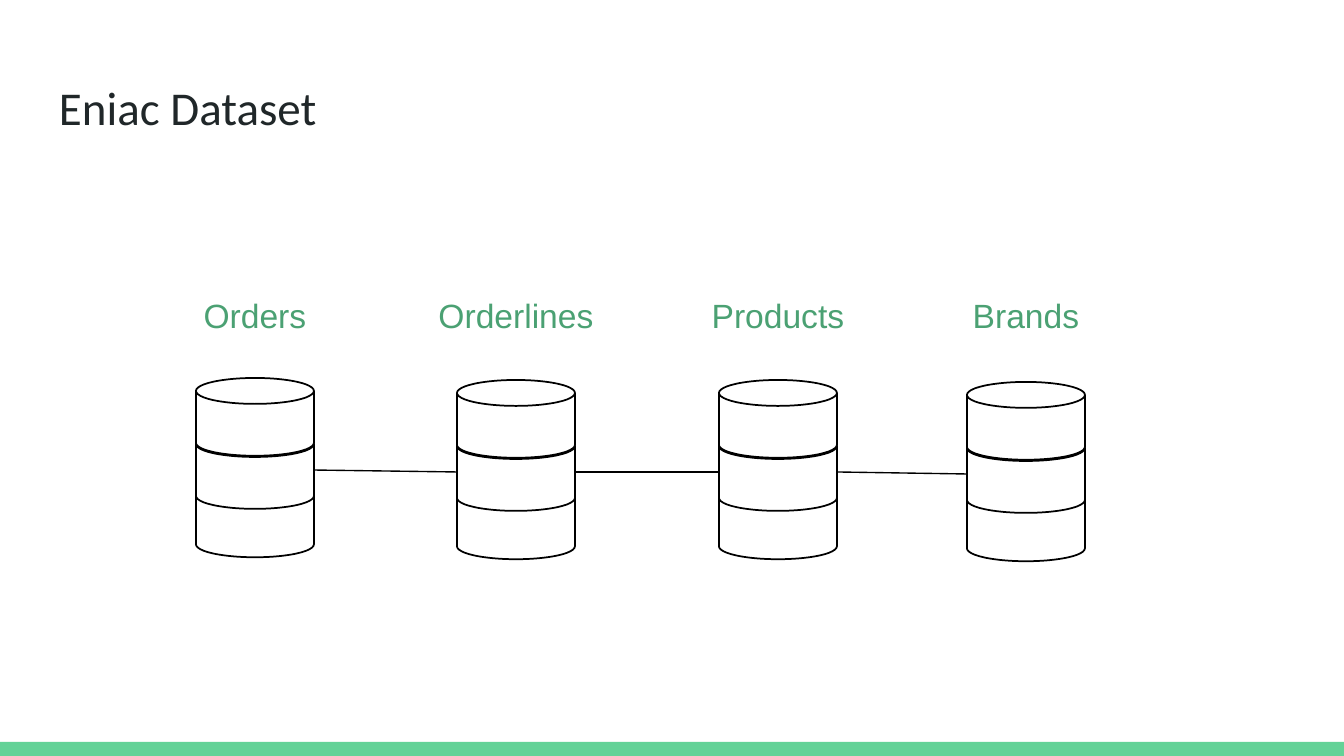
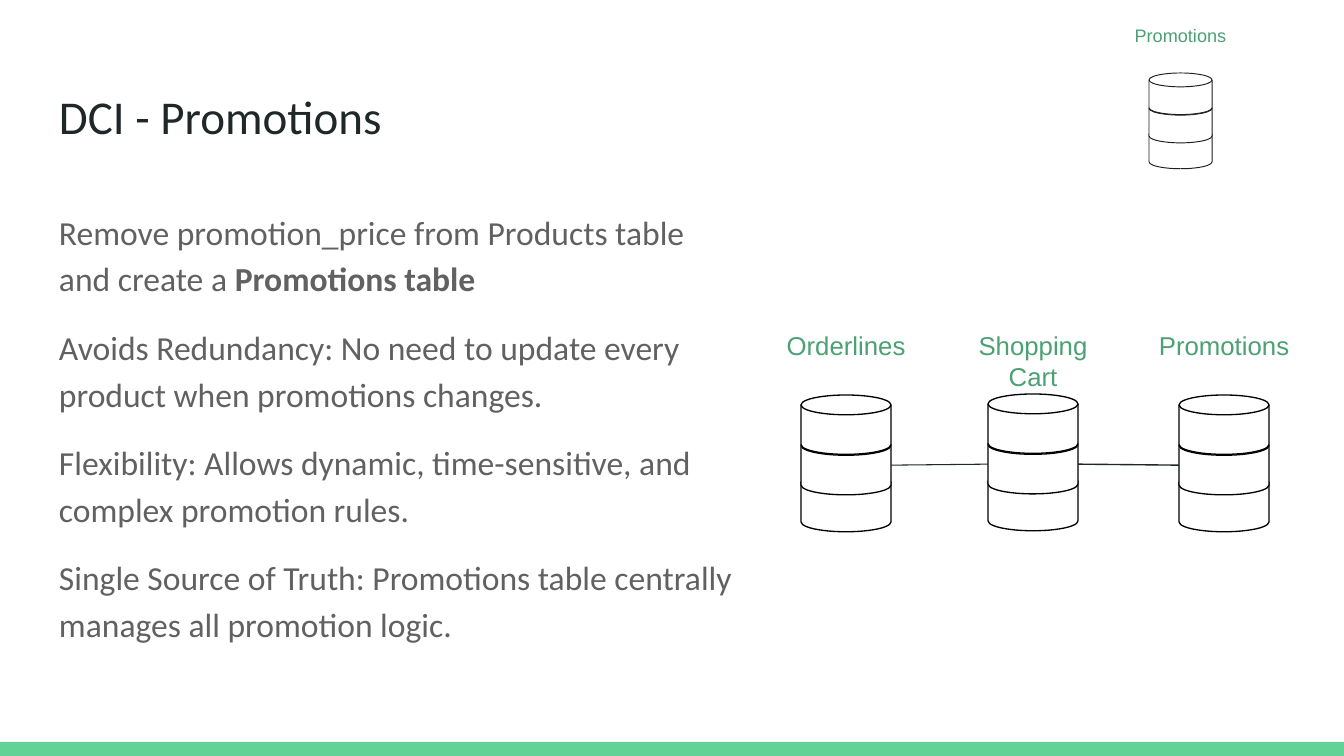
from dataclasses import dataclass
from itertools import pairwise

from lxml.etree import SubElement
from pptx import Presentation
from pptx.dml.color import RGBColor
from pptx.enum.shapes import MSO_CONNECTOR, MSO_SHAPE
from pptx.enum.text import MSO_ANCHOR, PP_ALIGN
from pptx.oxml.ns import qn
from pptx.util import Emu, Pt


@dataclass(frozen=True)
class Theme:
    paper: str = "FFFFFF"
    band: str = "63D297"
    ink: str = "202729"
    body: str = "616161"
    label: str = "4BA173"
    edge: str = "000000"
    faint: str = "1F1F1F"
    head_font: str = "Calibri"
    label_font: str = "Arial"
    head_size: float = 25.2
    body_size: float = 18
    big: float = 18
    mid: float = 13.8
    small: float = 9.7


@dataclass(frozen=True)
class Size:
    """Measures of one database symbol and its label."""
    disk: int
    line: float
    edge: str
    text: float
    top: int
    wide: int
    high: int
    inset: int


THEME = Theme()
BIG = Size(118, 0.93, THEME.edge, THEME.big, 282, 196, 67, 13)
MID = Size(90, 0.71, THEME.edge, THEME.mid, 319, 157, 52, 11)
SMALL = Size(63, 0.5, THEME.faint, THEME.small, 17, 117, 36, 7)

# Disk height and the drop of each disk, as parts of the disk width
RATIO = 0.66
DROPS = (0.86, 0.45, 0)


def px(count):
    return Emu(round(count * 914400 / 134.4))


def box(*sides):
    return [px(side) for side in sides]


def tint(code):
    return RGBColor.from_string(code)


# Text
def style(para, font, size, color):
    para.font.name = font
    para.font.size = Pt(size)
    para.font.color.rgb = tint(color)


def add_text(slide, place, inset=13):
    frame = slide.shapes.add_textbox(*box(*place)).text_frame
    frame.word_wrap = True
    frame.margin_left = frame.margin_right = px(inset)
    frame.margin_top = frame.margin_bottom = px(inset)
    return frame


def add_body(slide, place, paras):
    frame = add_text(slide, place)
    frame.vertical_anchor = MSO_ANCHOR.MIDDLE
    for at, parts in enumerate(paras):
        para = frame.add_paragraph() if at else frame.paragraphs[0]
        para.line_spacing = 1.15
        if at:
            para.space_before = Pt(12)
        style(para, THEME.head_font, THEME.body_size, THEME.body)
        for text, bold in parts:
            run = para.add_run()
            run.text = text
            if bold:
                run.font.bold = True
    para.space_after = Pt(12)


# Shapes
def add_form(slide, kind, place, fill, edge=None, width=0):
    form = slide.shapes.add_shape(kind, *box(*place))
    form.shadow.inherit = False
    form.fill.solid()
    form.fill.fore_color.rgb = tint(fill)
    if edge:
        form.line.color.rgb = tint(edge)
        form.line.width = Pt(width)
    else:
        form.line.fill.background()


def add_store(slide, name, left, top, size):
    """A database of three stacked disks with its label centred above."""
    for drop in DROPS:
        place = (left, top + drop * size.disk, size.disk, RATIO * size.disk)
        add_form(slide, MSO_SHAPE.FLOWCHART_MAGNETIC_DISK, place,
                 THEME.paper, size.edge, size.line)
    start = left + (size.disk - size.wide) / 2
    frame = add_text(slide, (start, size.top, size.wide, size.high), size.inset)
    para = frame.paragraphs[0]
    para.text = name
    para.alignment = PP_ALIGN.CENTER
    style(para, THEME.label_font, size.text, THEME.label)


def add_link(slide, start, end, color, width):
    line = slide.shapes.add_connector(MSO_CONNECTOR.STRAIGHT, *box(*start, *end))
    line.line.color.rgb = tint(color)
    line.line.width = Pt(width)
    SubElement(line._element.spPr, qn("a:effectLst"))


def add_chain(slide, stores, size, color, widths):
    """A row of databases, each linked to the next at mid-height."""
    for name, left, top in stores:
        add_store(slide, name, left, top, size)
    drop = (DROPS[1] + RATIO / 2) * size.disk
    for (one, two), width in zip(pairwise(stores), widths):
        add_link(slide, (one[1] + size.disk, one[2] + drop),
                 (two[1], two[2] + drop), color, width)


# Frame shared by both slides
def add_slide(deck, title, space=1.0):
    slide = deck.slides.add_slide(deck.slide_layouts[6])
    slide.background.fill.solid()
    slide.background.fill.fore_color.rgb = tint(THEME.paper)
    add_form(slide, MSO_SHAPE.RECTANGLE, (0, 742, 1344, 14), THEME.band)
    para = add_text(slide, (46, 66, 1253, 85)).paragraphs[0]
    para.text = title
    para.line_spacing = space
    style(para, THEME.head_font, THEME.head_size, THEME.ink)
    return slide


def main():
    deck = Presentation()
    deck.slide_width, deck.slide_height = box(1344, 756)

    # Dataset
    slide = add_slide(deck, "Eniac Dataset")
    stores = [("Orders", 196, 378), ("Orderlines", 457, 380),
              ("Products", 719, 380), ("Brands", 967, 382)]
    add_chain(slide, stores, BIG, THEME.edge, (0.75, 0.75, 0.75))

    # Promotions
    slide = add_slide(deck, "DCI - Promotions", 1.15)
    add_body(slide, (46, 169, 706, 512), [
        [("Remove promotion_price from Products table and create a ", False),
         ("Promotions table", True)],
        [("Avoids Redundancy: No need to update every product when "
          "promotions changes.", False)],
        [("Flexibility: Allows dynamic, time-sensitive, and complex "
          "promotion rules.", False)],
        [("Single Source of Truth: Promotions table centrally manages all "
          "promotion logic.", False)],
    ])
    add_store(slide, "Promotions", 1149, 73, SMALL)
    stores = [("Orderlines", 801, 395), ("Shopping Cart", 988, 394),
              ("Promotions", 1179, 395)]
    add_chain(slide, stores, MID, THEME.ink, (0.57, 0.75))

    deck.save("out.pptx")


if __name__ == "__main__":
    main()
